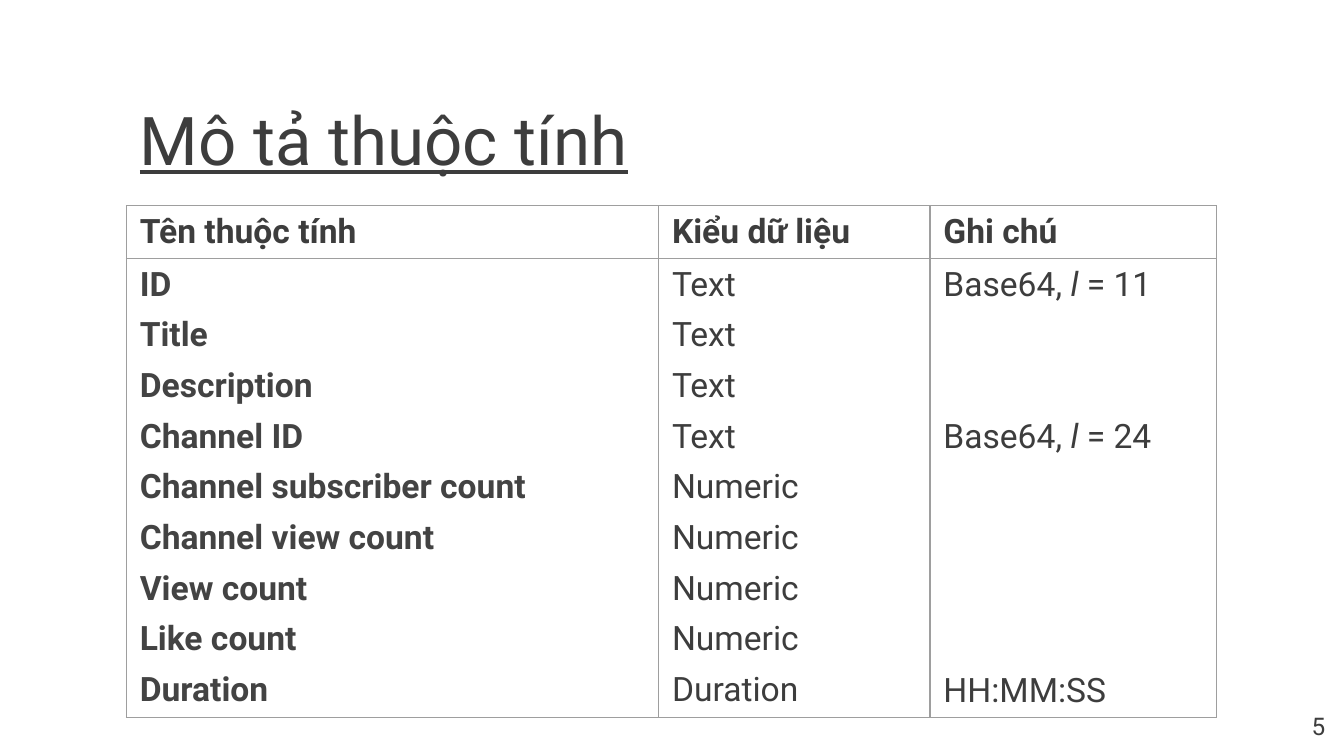
"""Build a slide that describes the attributes of a video dataset."""
from dataclasses import dataclass

from lxml import etree
from pptx import Presentation
from pptx import util as u
from pptx.dml.color import RGBColor
from pptx.enum import text
from pptx.oxml import ns

COLORS = {"ink": "3D3D3D", "name": "434343", "border": "9E9E9E", "page": "FFFFFF"}
FONT = "Roboto"
PAGE_WIDTH = 10
PAGE_HEIGHT = PAGE_WIDTH * 9 / 16
TABLE_SIZE = 18
LINE_HEIGHT = TABLE_SIZE * 1.18
PARA_GAP = 6


@dataclass(frozen=True)
class Span:
    words: str
    size: float = TABLE_SIZE
    color: str = "ink"
    bold: bool = False
    italic: bool = False
    underline: bool = False


@dataclass(frozen=True)
class Attribute:
    name: str
    kind: str
    note: tuple[Span, ...] = ()


def base64_note(length: int) -> tuple[Span, ...]:
    return Span("Base64, "), Span("l", italic=True), Span(f" = {length}")


HEADINGS = ("Tên thuộc tính", "Kiểu dữ liệu", "Ghi chú")
COLUMN_WIDTHS = (3.96, 2.02, 2.13)
ROW_HEIGHTS = (0.38, 2.81)
ATTRIBUTES = (
    Attribute("ID", "Text", base64_note(11)),
    Attribute("Title", "Text"),
    Attribute("Description", "Text"),
    Attribute("Channel ID", "Text", base64_note(24)),
    Attribute("Channel subscriber count", "Numeric"),
    Attribute("Channel view count", "Numeric"),
    Attribute("View count", "Numeric"),
    Attribute("Like count", "Numeric"),
    Attribute("Duration", "Duration", (Span("HH:MM:SS"),)),
)


def add_spans(para, spans: tuple[Span, ...]) -> None:
    for span in spans:
        run = para.add_run()
        run.text = span.words
        font = run.font
        font.name = FONT
        font.size = u.Pt(span.size)
        font.bold = span.bold
        font.italic = span.italic
        font.underline = span.underline
        font.color.rgb = RGBColor.from_string(COLORS[span.color])


def set_frame(frame, margin: float = 0.1) -> None:
    frame.word_wrap = True
    frame.auto_size = text.MSO_AUTO_SIZE.NONE
    frame.margin_left = frame.margin_right = u.Inches(margin)
    frame.margin_top = frame.margin_bottom = u.Inches(margin)


def fill_lines(cell, lines: list[tuple[Span, ...]]) -> None:
    frame = cell.text_frame
    previous = None
    for index, spans in enumerate(lines):
        if not spans:
            continue
        para = frame.paragraphs[0] if previous is None else frame.add_paragraph()
        if previous is not None:
            skipped = index - previous - 1
            gap = PARA_GAP + skipped * (LINE_HEIGHT + PARA_GAP)
            para.space_before = u.Pt(round(gap, 1))
        add_spans(para, spans)
        previous = index


def style_cell(cell) -> None:
    cell.margin_left = cell.margin_right = u.Inches(0.1)
    cell.margin_top = cell.margin_bottom = u.Inches(0.05)
    cell.fill.background()
    properties = cell._tc.get_or_add_tcPr()
    for place, side in enumerate(("a:lnL", "a:lnR", "a:lnT", "a:lnB")):
        line = etree.Element(ns.qn(side), w=str(u.Pt(0.75)))
        fill = etree.SubElement(line, ns.qn("a:solidFill"))
        etree.SubElement(fill, ns.qn("a:srgbClr"), val=COLORS["border"])
        properties.insert(place, line)


def add_title(page) -> None:
    title = page.shapes.title
    title.left, title.top = u.Inches(0.94), u.Inches(0.65)
    title.width, title.height = u.Inches(5.59), u.Inches(0.76)
    frame = title.text_frame
    set_frame(frame)
    frame.vertical_anchor = text.MSO_ANCHOR.MIDDLE
    para = frame.paragraphs[0]
    para.alignment = text.PP_ALIGN.LEFT
    add_spans(para, (Span("Mô tả thuộc tính", size=36, underline=True),))


def add_attribute_table(page) -> None:
    table = page.shapes.add_table(
        len(ROW_HEIGHTS), len(COLUMN_WIDTHS), u.Inches(0.94), u.Inches(1.53),
        u.Inches(sum(COLUMN_WIDTHS)), u.Inches(sum(ROW_HEIGHTS)),
    ).table
    table.first_row = table.horz_banding = False
    for column, width in zip(table.columns, COLUMN_WIDTHS):
        column.width = u.Inches(width)
    for row, height in zip(table.rows, ROW_HEIGHTS):
        row.height = u.Inches(height)
    bodies = (
        [(Span(item.name, color="name", bold=True),) for item in ATTRIBUTES],
        [(Span(item.kind),) for item in ATTRIBUTES],
        [item.note for item in ATTRIBUTES],
    )
    for index, (heading, body) in enumerate(zip(HEADINGS, bodies)):
        fill_lines(table.cell(0, index), [(Span(heading, bold=True),)])
        fill_lines(table.cell(1, index), body)
    for cell in table.iter_cells():
        style_cell(cell)


def add_page_number(page, number: int) -> None:
    box = page.shapes.add_textbox(
        u.Inches(9.36), u.Inches(5.19), u.Inches(0.6), u.Inches(0.43)
    )
    set_frame(box.text_frame)
    para = box.text_frame.paragraphs[0]
    para.alignment = text.PP_ALIGN.RIGHT
    add_spans(para, (Span(str(number), size=13),))


def main() -> None:
    deck = Presentation()
    deck.slide_width, deck.slide_height = u.Inches(PAGE_WIDTH), u.Inches(PAGE_HEIGHT)
    page = deck.slides.add_slide(deck.slide_layouts.get_by_name("Title Only"))
    page.background.fill.solid()
    page.background.fill.fore_color.rgb = RGBColor.from_string(COLORS["page"])
    add_title(page)
    add_attribute_table(page)
    add_page_number(page, 5)
    deck.save("out.pptx")


if __name__ == "__main__":
    main()
